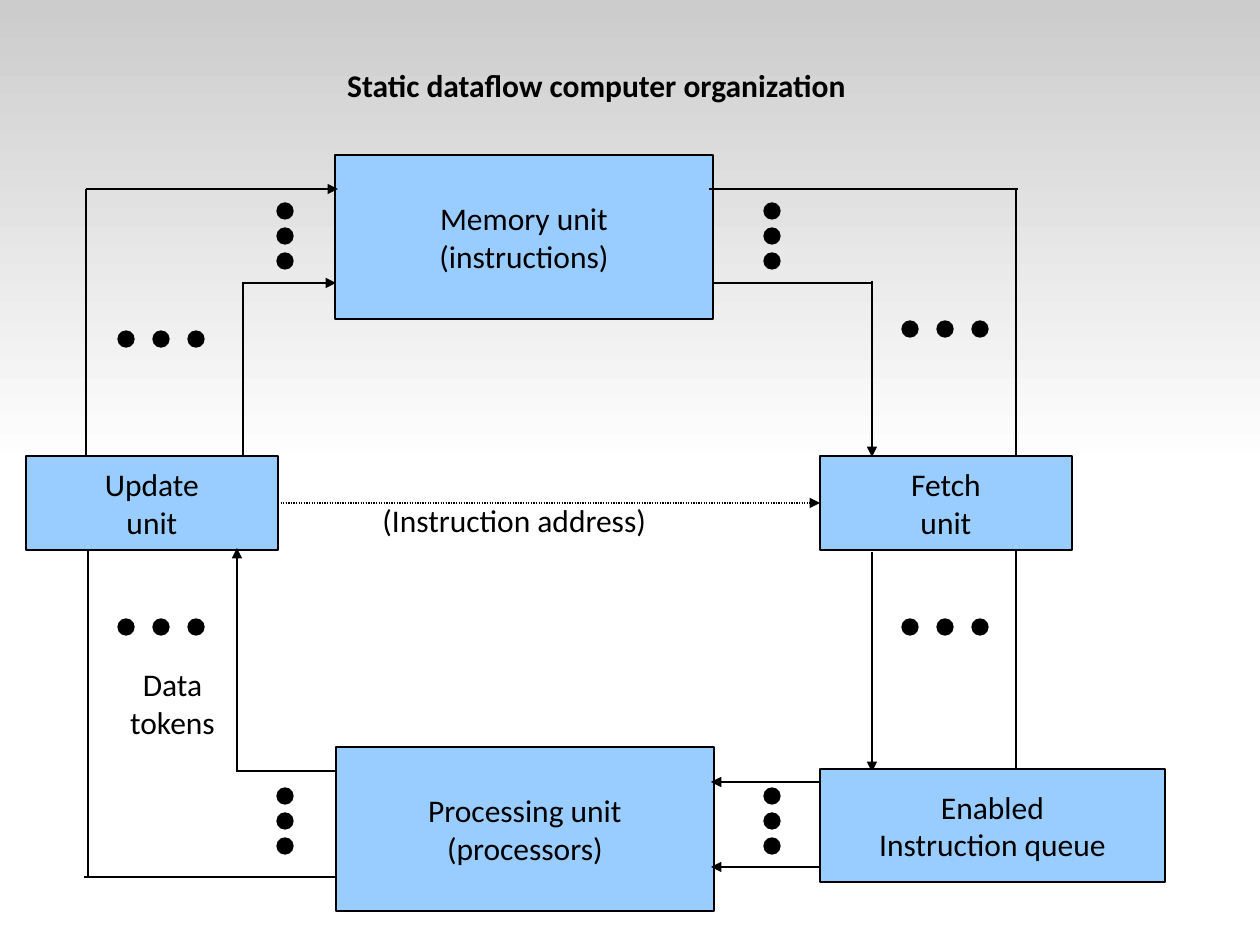
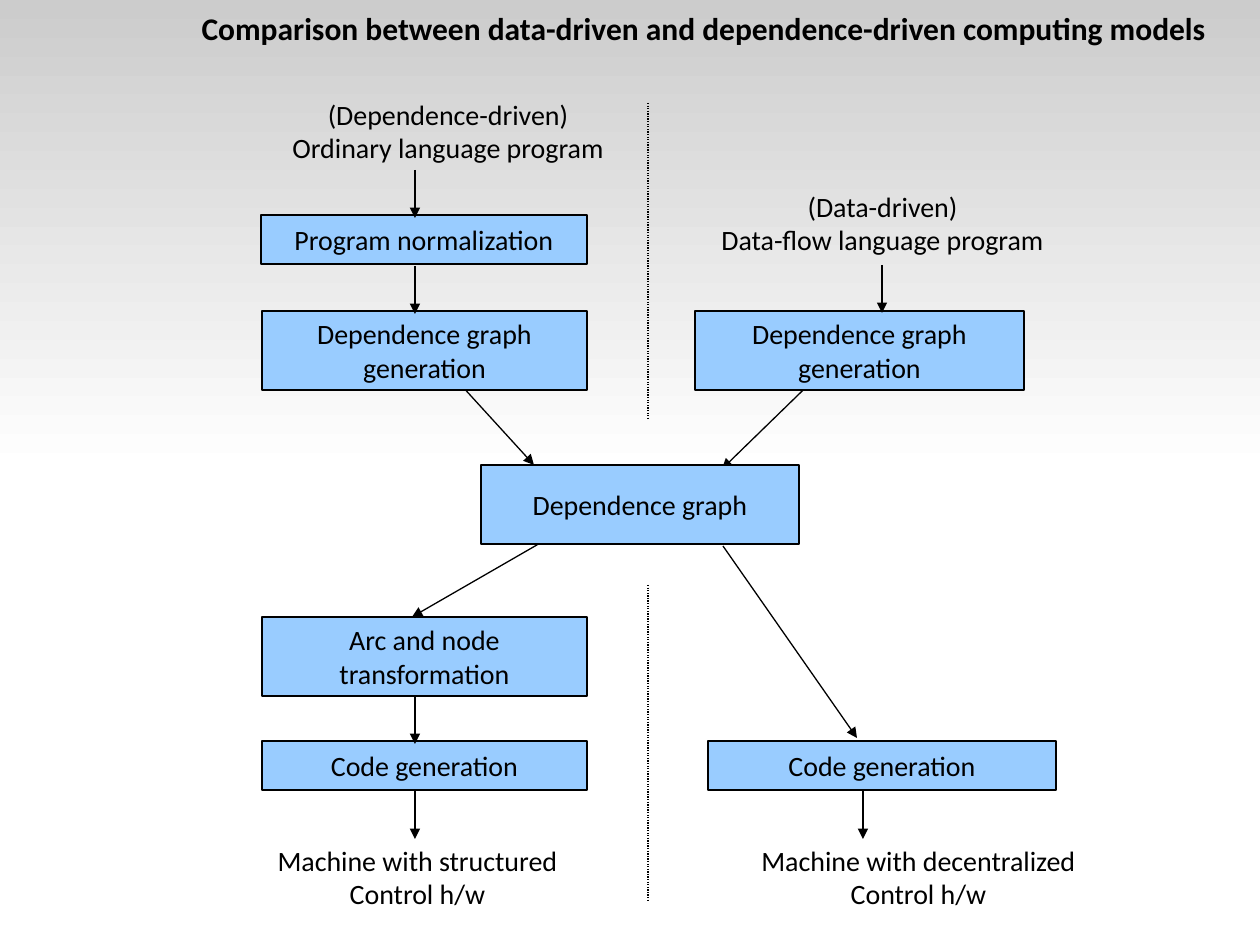
from typing import NamedTuple

from lxml.etree import SubElement
from pptx import Presentation
from pptx.dml.color import RGBColor
from pptx.enum.dml import MSO_LINE
from pptx.enum.shapes import MSO_CONNECTOR, MSO_SHAPE
from pptx.enum.text import MSO_ANCHOR, PP_ALIGN
from pptx.oxml.ns import qn
from pptx.util import Emu, Pt

PX_PER_INCH = 126
SLIDE_WIDTH, SLIDE_HEIGHT = 1260, 945
BAND_HEIGHT = 472
DOT_SIZE = 16
DOTS_PER_GROUP = 3
LEFT_SIDE, RIGHT_SIDE = 1, 3

BLACK = RGBColor(0x00, 0x00, 0x00)
WHITE = RGBColor(0xFF, 0xFF, 0xFF)
BAND_GREY = RGBColor(0xCC, 0xCC, 0xCC)
UNIT_BLUE = RGBColor(0x99, 0xCC, 0xFF)

LINE_WIDTH = Pt(0.75)
FONT_FORMAT = {"name": "Calibri", "bold": False}
BOX_FORMAT = {"word_wrap": False, "vertical_anchor": MSO_ANCHOR.MIDDLE}
LABEL_FORMAT = {"word_wrap": True, "vertical_anchor": MSO_ANCHOR.TOP}


class Box(NamedTuple):
    text: str
    left: int
    top: int
    width: int
    height: int


class Label(NamedTuple):
    text: str
    left: int
    top: int
    width: int
    height: int
    bold: bool = False
    size: int = 0
    align: PP_ALIGN = PP_ALIGN.CENTER


class Wire(NamedTuple):
    x1: int
    y1: int
    x2: int
    y2: int
    arrow: bool = False
    dotted: bool = False
    source: str = ""
    target: str = ""


class Dots(NamedTuple):
    left: int
    top: int
    step_x: int = 0
    step_y: int = 0


def px(length: int) -> Emu:
    return Emu(round(length * 914400 / PX_PER_INCH))


def apply_format(part, values: dict) -> None:
    for name, value in values.items():
        setattr(part, name, value)


def write_text(frame, text: str, frame_format: dict, font_format: dict, align: PP_ALIGN) -> None:
    apply_format(frame, frame_format)
    frame.text = text
    for paragraph in frame.paragraphs:
        paragraph.alignment = align
        apply_format(paragraph.font, FONT_FORMAT | font_format)
        paragraph.font.color.rgb = BLACK


def add_filled(slide, kind, left: int, top: int, width: int, height: int, color: RGBColor):
    filled = slide.shapes.add_shape(kind, px(left), px(top), px(width), px(height))
    filled.shadow.inherit = False
    filled.fill.solid()
    filled.fill.fore_color.rgb = color
    filled.line.color.rgb = BLACK
    filled.line.width = LINE_WIDTH
    return filled


def draw_band(slide) -> None:
    band = add_filled(slide, MSO_SHAPE.RECTANGLE, 0, 0, SLIDE_WIDTH, BAND_HEIGHT, WHITE)
    band.line.fill.background()
    band.fill.gradient()
    band.fill.gradient_angle = 270
    for stop, color in zip(band.fill.gradient_stops, (BAND_GREY, WHITE)):
        stop.color.rgb = color


def draw_box(slide, box: Box, size: int, units: dict) -> None:
    unit = add_filled(slide, MSO_SHAPE.RECTANGLE, *box[1:], UNIT_BLUE)
    write_text(unit.text_frame, box.text, BOX_FORMAT, {"size": Pt(size)}, PP_ALIGN.CENTER)
    units[box.text] = unit


def draw_label(slide, label: Label, size: int, units: dict) -> None:
    corners = (label.left, label.top, label.width, label.height)
    textbox = slide.shapes.add_textbox(*map(px, corners))
    font_format = {"size": Pt(label.size or size), "bold": label.bold}
    write_text(textbox.text_frame, label.text, LABEL_FORMAT, font_format, label.align)


def draw_wire(slide, wire: Wire, size: int, units: dict) -> None:
    line = slide.shapes.add_connector(MSO_CONNECTOR.STRAIGHT, *map(px, wire[:4]))
    line.line.color.rgb = BLACK
    line.line.width = LINE_WIDTH
    if wire.dotted:
        line.line.dash_style = MSO_LINE.ROUND_DOT
    if wire.source:
        line.begin_connect(units[wire.source], RIGHT_SIDE)
    if wire.target:
        line.end_connect(units[wire.target], LEFT_SIDE)
    properties = line.element.spPr
    if wire.arrow:
        SubElement(properties.find(qn("a:ln")), qn("a:tailEnd"), type="triangle")
    SubElement(properties, qn("a:effectLst"))


def draw_dots(slide, dots: Dots, size: int, units: dict) -> None:
    for index in range(DOTS_PER_GROUP):
        left = dots.left + index * dots.step_x
        top = dots.top + index * dots.step_y
        add_filled(slide, MSO_SHAPE.OVAL, left, top, DOT_SIZE, DOT_SIZE, BLACK)


DRAWERS = {Box: draw_box, Label: draw_label, Wire: draw_wire, Dots: draw_dots}


def draw_slide(presentation, size: int, parts: list) -> None:
    slide = presentation.slides.add_slide(presentation.slide_layouts[6])
    draw_band(slide)
    units = {}
    for part in parts:
        DRAWERS[type(part)](slide, part, size, units)


UPDATE, FETCH = "Update\nunit", "Fetch\nunit"

ORGANIZATION = [
    Wire(243, 283, 243, 472),
    Wire(86, 189, 86, 472),
    Wire(1016, 189, 1016, 472),
    Box("Memory unit\n(instructions)", 335, 155, 378, 164),
    Box("Processing unit\n(processors)", 336, 747, 378, 164),
    Box(FETCH, 820, 456, 252, 94),
    Wire(709, 189, 1018, 189),
    Wire(714, 283, 872, 283),
    Wire(872, 281, 872, 457, arrow=True),
    Wire(86, 189, 338, 189, arrow=True),
    Wire(242, 283, 336, 283, arrow=True),
    Wire(872, 552, 872, 772, arrow=True),
    Wire(1016, 551, 1016, 834),
    *(Wire(840, y, 711, y, arrow=True) for y in (782, 867)),
    Box("Enabled\nInstruction queue", 820, 769, 345, 113),
    Wire(88, 532, 88, 878),
    Box(UPDATE, 26, 456, 252, 94),
    Wire(84, 877, 336, 877),
    Wire(237, 772, 237, 548, arrow=True),
    Wire(236, 771, 335, 771),
    *(Dots(x, y, step_x=35) for x, y in ((118, 331), (118, 619), (902, 619), (902, 321))),
    *(Dots(x, y, step_y=25) for x in (277, 764) for y in (203, 788)),
    Wire(278, 503, 820, 503, arrow=True, dotted=True, source=UPDATE, target=FETCH),
    Label("(Instruction address)", 370, 495, 353, 50, align=PP_ALIGN.LEFT),
    Label("Static dataflow computer organization", 242, 60, 709, 50, bold=True),
    Label("Data\ntokens", 107, 659, 131, 88),
]

COMPARISON = [
    Label("Comparison between data-driven and dependence-driven computing models",
          148, 3, 1112, 50, bold=True, size=18),
    Box("Program normalization", 261, 215, 326, 49),
    Box("Code generation", 262, 741, 325, 49),
    Box("Arc and node\ntransformation", 262, 617, 325, 79),
    Box("Code generation", 708, 741, 348, 49),
    *(Wire(648, y, 648, y + 315, dotted=True) for y in (103, 585)),
    Wire(440, 362, 534, 465, arrow=True),
    Wire(832, 362, 722, 469, arrow=True),
    Wire(575, 523, 412, 617, arrow=True),
    Box("Dependence graph", 481, 465, 318, 79),
    Box("Dependence graph\ngeneration", 262, 311, 325, 79),
    Box("Dependence graph\ngeneration", 695, 311, 329, 79),
    *(Wire(x, y, x, y + 48, arrow=True)
      for x, y in ((415, 170), (415, 266), (415, 696), (415, 791), (863, 791), (882, 265))),
    Wire(723, 546, 857, 738, arrow=True),
    Label("(Data-driven)\nData-flow language program", 660, 183, 445, 79),
    Label("(Dependence-driven)\nOrdinary language program", 212, 91, 472, 79),
    Label("Machine with structured\nControl h/w", 195, 837, 445, 79),
    Label("Machine with decentralized\nControl h/w", 696, 837, 445, 79),
]


def main() -> None:
    presentation = Presentation()
    presentation.slide_width = px(SLIDE_WIDTH)
    presentation.slide_height = px(SLIDE_HEIGHT)
    draw_slide(presentation, 18, ORGANIZATION)
    draw_slide(presentation, 16, COMPARISON)
    presentation.save("out.pptx")


if __name__ == "__main__":
    main()
